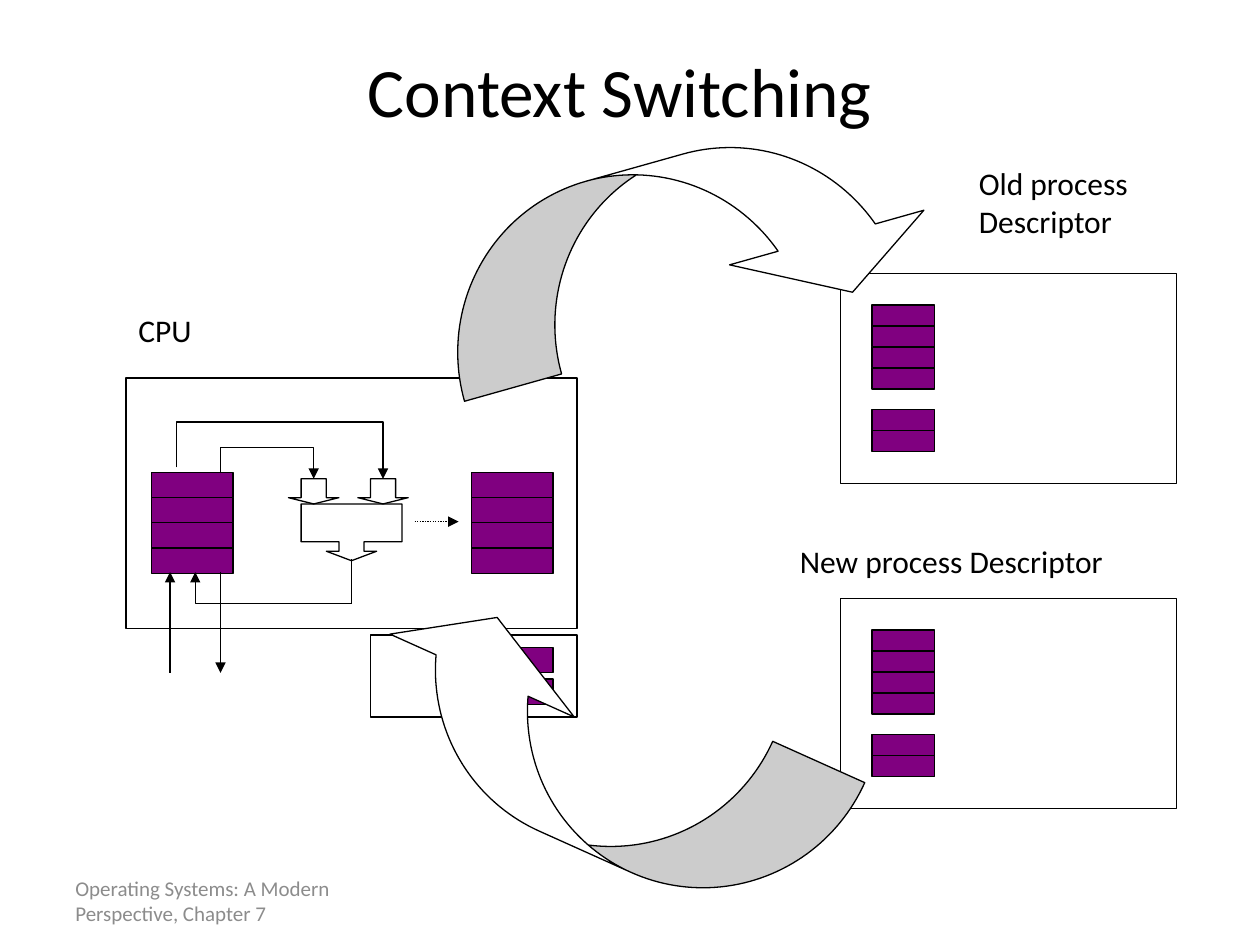
"""Build the Context Switching slide."""
from lxml.etree import SubElement
from pptx import Presentation
from pptx.dml.color import RGBColor
from pptx.enum.dml import MSO_LINE
from pptx.enum.shapes import MSO_CONNECTOR, MSO_SHAPE
from pptx.enum.text import MSO_ANCHOR, PP_ALIGN
from pptx.oxml.ns import qn
from pptx.util import Inches, Pt

HEX = {"ink": "000000", "cell": "800080", "paper": "FFFFFF", "note": "8C8C8C"}

LABELS = [
    ("Operating Systems: A Modern Perspective, Chapter 7",
     (0.5, 6.95, 2.33, 0.4), 12, "note", MSO_ANCHOR.MIDDLE, PP_ALIGN.LEFT),
    ("Context Switching",
     (0.67, 0.5, 8.5, 0.42), 39.6, "ink", MSO_ANCHOR.MIDDLE, PP_ALIGN.CENTER),
    ("CPU", (1, 2.42, 0.85, 0.5), 18, "ink", MSO_ANCHOR.TOP, PP_ALIGN.LEFT),
    ("New process Descriptor",
     (6.25, 4.25, 3.44, 0.51), 18, "ink", MSO_ANCHOR.TOP, PP_ALIGN.LEFT),
    ("Old process\nDescriptor",
     (7.67, 1.25, 1.8, 0.91), 18, "ink", MSO_ANCHOR.TOP, PP_ALIGN.LEFT),
]
FRAMES = [(1, 3, 3.58, 1.99), (2.94, 5.04, 1.64, 0.65),
          (6.67, 2.17, 2.67, 1.67), (6.67, 4.75, 2.67, 1.67)]
CPU_CELL, TASK_CELL = (0.65, 0.2), (0.5, 0.5 / 3)
STACKS = [
    (1.2, 3.75, 4, CPU_CELL), (3.74, 3.75, 4, CPU_CELL),
    (3.74, 5.14, 1, CPU_CELL), (3.74, 5.39, 1, CPU_CELL),
    (6.92, 2.42, 4, TASK_CELL), (6.92, 3.25, 2, TASK_CELL),
    (6.92, 5, 4, TASK_CELL), (6.92, 5.83, 2, TASK_CELL),
]
UNIT = [
    (MSO_SHAPE.DOWN_ARROW_CALLOUT, (2.39, 4, 0.8, 0.45), (0.444, 0.444, 0.167, 0.667)),
    (MSO_SHAPE.DOWN_ARROW, (2.29, 3.8, 0.4, 0.2), (0.5, 0.25)),
    (MSO_SHAPE.DOWN_ARROW, (2.84, 3.8, 0.4, 0.2), (0.5, 0.25)),
]
PATHS = [
    [(1.75, 3.75), (1.75, 3.55), (2.49, 3.55), (2.49, 3.8)],
    [(1.4, 3.71), (1.4, 3.35), (3.04, 3.35), (3.04, 3.8)],
    [(2.79, 4.59), (2.79, 4.79), (1.55, 4.79), (1.55, 4.54)],
]
LINES = [
    ((2.79, 4.44), (2.79, 4.79), False, False),
    ((3.29, 4.14), (3.64, 4.14), True, True),
    ((1.35, 5.34), (1.35, 4.54), True, False),
    ((1.75, 4.54), (1.75, 5.34), True, False),
]
SWOOPS = [
    ((3.42, 1.25, 4, 1.42), 344.3, False, (0.564, 1.128, 0.333)),
    ((2.75, 5.33, 4, 1.41), 24.2, True, (0.568, 1.137, 0.333)),
]


def color(name):
    return RGBColor.from_string(HEX[name])


def stroke(item, tip=False):
    item.line.color.rgb = color("ink")
    item.line.width = Pt(0.75)
    if tip:
        SubElement(item.line._get_or_add_ln(), qn("a:tailEnd"), type="triangle")


def place(shapes, kind, box, fill=None, adjust=()):
    item = shapes.add_shape(kind, *map(Inches, box))
    item.shadow.inherit = False
    if fill:
        item.fill.solid()
        item.fill.fore_color.rgb = color(fill)
    else:
        item.fill.background()
    stroke(item)
    for spot, value in enumerate(adjust):
        item.adjustments[spot] = value
    return item


def trace(shapes, points):
    start, *rest = [tuple(map(Inches, point)) for point in points]
    pen = shapes.build_freeform(*start)
    pen.add_line_segments(rest, close=False)
    item = pen.convert_to_shape()
    item.shadow.inherit = False
    item.fill.background()
    stroke(item, True)


def join(shapes, start, end, tip, dotted):
    item = shapes.add_connector(MSO_CONNECTOR.STRAIGHT, *map(Inches, start + end))
    item.line.color.rgb = color("ink")
    if dotted:
        item.line.dash_style = MSO_LINE.ROUND_DOT
    stroke(item, tip)
    SubElement(item._element.spPr, qn("a:effectLst"))


def label(shapes, text, box, size, ink, anchor, align):
    frame = shapes.add_textbox(*map(Inches, box)).text_frame
    frame.word_wrap = True
    frame.vertical_anchor = anchor
    frame.text = text
    for para in frame.paragraphs:
        para.alignment = align
        for run in para.runs:
            run.font.name = "Calibri"
            run.font.size = Pt(size)
            run.font.color.rgb = color(ink)


def main():
    deck = Presentation()
    deck.slide_width, deck.slide_height = Inches(10), Inches(7.5)
    shapes = deck.slides.add_slide(deck.slide_layouts[6]).shapes
    for left, top, count, (width, height) in STACKS:
        for row in range(count):
            box = (left, top + row * height, width, height)
            place(shapes, MSO_SHAPE.RECTANGLE, box, "cell")
    for kind, box, adjust in UNIT:
        place(shapes, kind, box, "paper", adjust)
    for points in PATHS:
        trace(shapes, points)
    for line in LINES:
        join(shapes, *line)
    for box in FRAMES:
        place(shapes, MSO_SHAPE.RECTANGLE, box)
    for box, turn, flip, adjust in SWOOPS:
        item = place(shapes, MSO_SHAPE.CURVED_DOWN_ARROW, box, "paper", adjust)
        item.rotation = turn
        if flip:
            for side in ("flipH", "flipV"):
                item._element.spPr.xfrm.set(side, "1")
    for entry in LABELS:
        label(shapes, *entry)
    deck.save("out.pptx")


if __name__ == "__main__":
    main()
